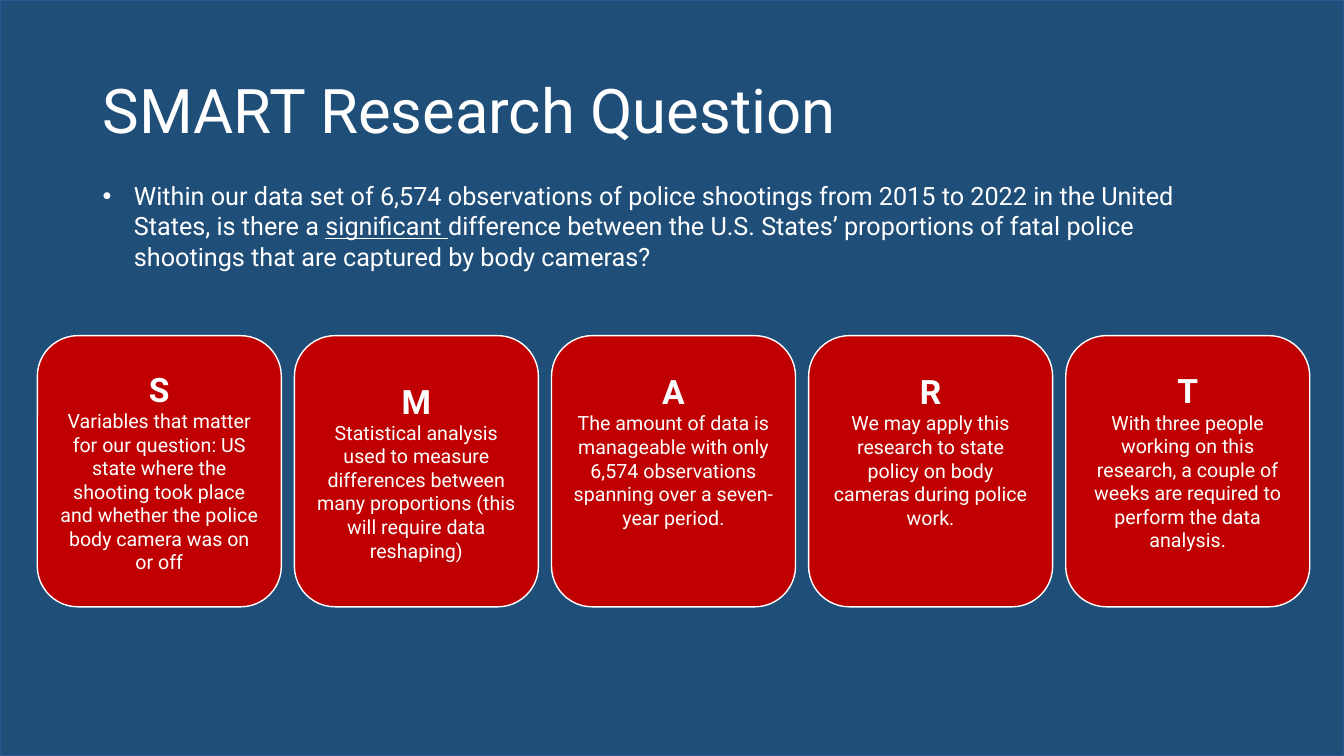
from dataclasses import dataclass

from lxml import etree
from pptx import Presentation
from pptx.dml.color import RGBColor
from pptx.enum.shapes import MSO_SHAPE as Shape
from pptx.enum.text import MSO_ANCHOR as Anchor, PP_ALIGN as Align
from pptx.oxml.ns import qn
from pptx.util import Inches, Pt


@dataclass(frozen=True)
class Theme:
    font: str = "Roboto"
    background: RGBColor = RGBColor.from_string("1F4E79")
    frame: RGBColor = RGBColor.from_string("325491")
    card: RGBColor = RGBColor.from_string("C00000")
    text: RGBColor = RGBColor.from_string("FFFFFF")
    title_size: int = 44
    question_size: int = 18
    letter_size: int = 24
    body_size: int = 14


theme = Theme()


def add_text(paragraph, text, size, bold=False, underline=False):
    """Append a run in the theme font and text colour."""
    run = paragraph.add_run()
    run.text = text
    run.font.name = theme.font
    run.font.size = Pt(size)
    run.font.bold = bold
    run.font.underline = underline
    run.font.color.rgb = theme.text


def add_box(kind, left, top, width, height, fill, line):
    box = slide.shapes.add_shape(kind, Inches(left), Inches(top), Inches(width), Inches(height))
    box.shadow.inherit = False
    box.fill.solid()
    box.fill.fore_color.rgb = fill
    box.line.color.rgb = line
    box.line.width = Pt(1)
    return box


presentation = Presentation()
presentation.slide_width = Inches(13.33)
presentation.slide_height = Inches(7.5)
slide = presentation.slides.add_slide(presentation.slide_layouts[6])
slide.background.fill.solid()
slide.background.fill.fore_color.rgb = theme.background
add_box(Shape.RECTANGLE, 0, 0, 13.33, 7.5, theme.background, theme.frame)

# Title
title = slide.shapes.add_textbox(Inches(0.92), Inches(0.4), Inches(11.5), Inches(1.45)).text_frame
title.word_wrap = True
title.vertical_anchor = Anchor.MIDDLE
title.paragraphs[0].line_spacing = 0.9
add_text(title.paragraphs[0], "SMART Research Question", theme.title_size)

# Research question
question = slide.shapes.add_textbox(Inches(0.92), Inches(1.74), Inches(10.98), Inches(1.01)).text_frame
question.word_wrap = True
paragraph = question.paragraphs[0]
properties = paragraph._p.get_or_add_pPr()
properties.set("marL", str(Inches(0.31)))
properties.set("indent", str(-Inches(0.31)))
etree.SubElement(properties, qn("a:buFont")).set("typeface", "Arial")
etree.SubElement(properties, qn("a:buChar")).set("char", "•")
add_text(paragraph, "Within our data set of 6,574 observations of police shootings from 2015 to 2022 "
         "in the United States, is there a ", theme.question_size)
add_text(paragraph, "significant ", theme.question_size, underline=True)
add_text(paragraph, "difference between the U.S. States’ proportions of fatal police shootings "
         "that are captured by body cameras?", theme.question_size)

# SMART cards: letter, explanation, bottom inset that lifts the centred text
cards = [
    ("S", "Variables that matter for our question: US state where the shooting took place "
          "and whether the police body camera was on or off", 0.05),
    ("M", "Statistical analysis used to measure differences between many proportions "
          "(this will require data reshaping)", 0.05),
    ("A", "The amount of data is manageable with only 6,574 observations spanning "
          "over a seven-year period.", 0.47),
    ("R", "We may apply this research to state policy on body cameras during police work.", 0.47),
    ("T", "With three people working on this research, a couple of weeks are required "
          "to perform the data analysis.", 0.25),
]
card_left, card_pitch = 0.37, 2.55
for index, (letter, explanation, bottom_inset) in enumerate(cards):
    card = add_box(Shape.ROUNDED_RECTANGLE, card_left + index * card_pitch, 3.33, 2.42, 2.69,
                   theme.card, theme.text)
    frame = card.text_frame
    frame.word_wrap = True
    frame.vertical_anchor = Anchor.MIDDLE
    frame.margin_bottom = Inches(bottom_inset)
    heading, body = frame.paragraphs[0], frame.add_paragraph()
    heading.alignment = body.alignment = Align.CENTER
    add_text(heading, letter, theme.letter_size, bold=True)
    add_text(body, explanation, theme.body_size)

presentation.save("out.pptx")
